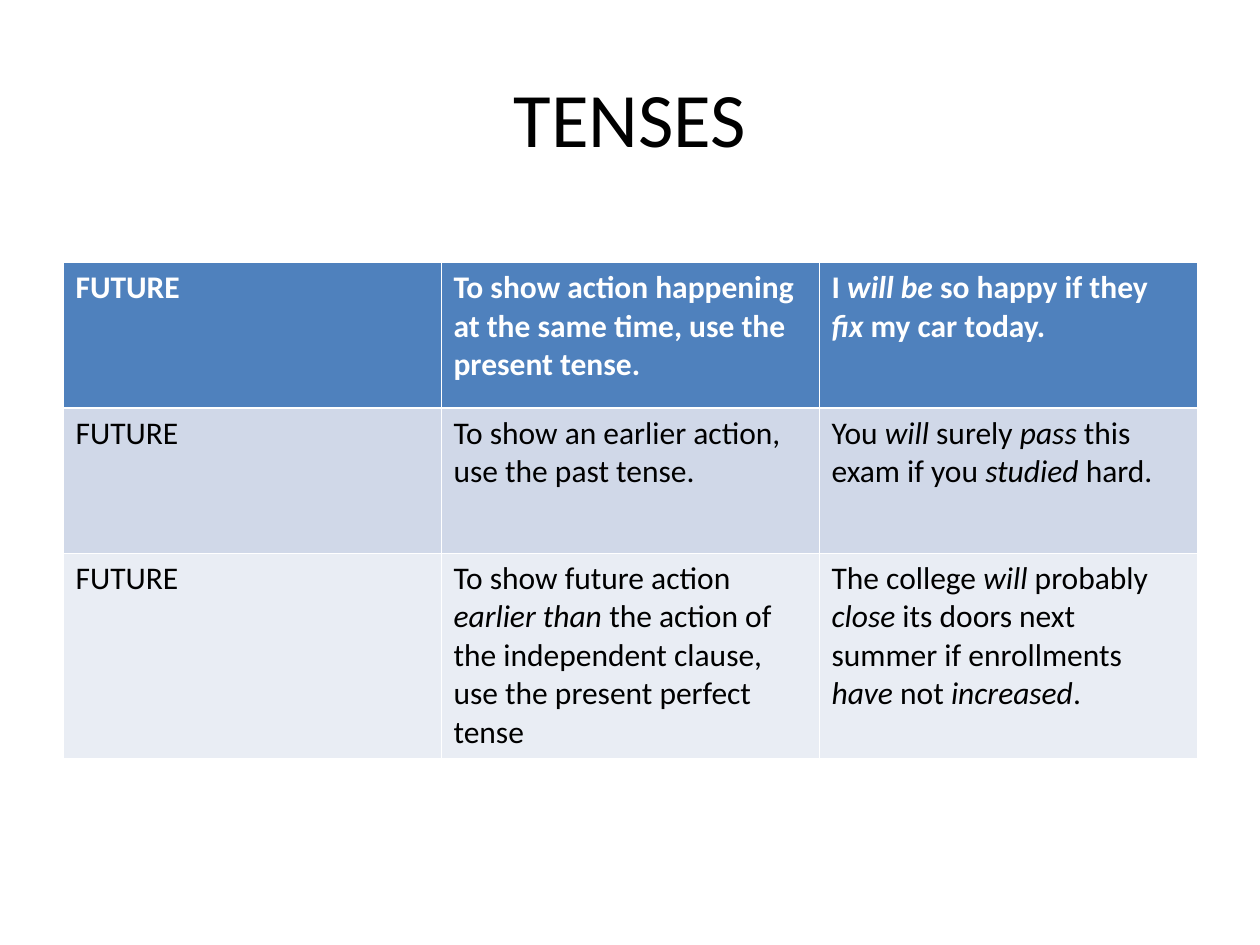
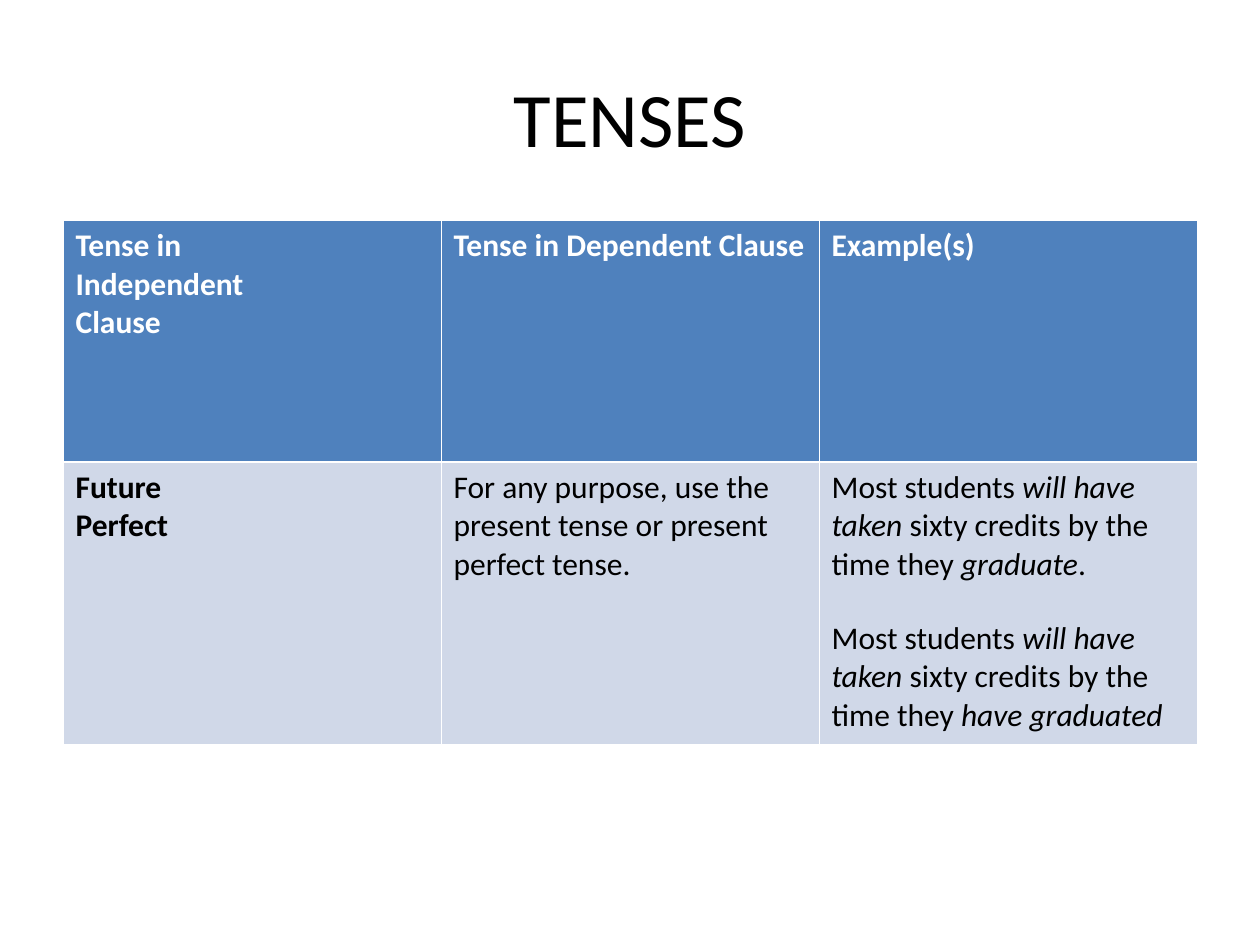
from lxml.etree import SubElement
from pptx import Presentation
from pptx.dml.color import RGBColor
from pptx.enum.text import MSO_ANCHOR, PP_ALIGN
from pptx.oxml.ns import qn
from pptx.util import Pt

COLORS = {
    "title": "000000",
    "header": "4F81BD",
    "header_text": "FFFFFF",
    "band_dark": "D0D8E8",
    "band_light": "E9EDF4",
    "body_text": "000000",
    "rule": "FFFFFF",
}
FONT = "Calibri"
TITLE_BOX = (36, 21.6, 648, 90)
THIN, THICK = 0.45, 1.47
PARAGRAPH_GAP = 20.3

# Asterisks enclose italic words; each cell is a list of paragraphs
FUTURE_ROWS = [
    [["FUTURE"],
     ["To show action happening at the same time, use the present tense."],
     ["I *will be* so happy if they *fix* my car today."]],
    [["FUTURE"],
     ["To show an earlier action, use the past tense."],
     ["You *will* surely *pass* this exam if you *studied* hard."]],
    [["FUTURE"],
     ["To show future action *earlier than* the action of the independent "
      "clause, use the present perfect tense"],
     ["The college *will* probably *close* its doors next summer if "
      "enrollments *have* not *increased*."]],
]
FUTURE_PERFECT_ROWS = [
    [["Tense in\nIndependent\nClause"],
     ["Tense in Dependent Clause"],
     ["Example(s)"]],
    [["Future\nPerfect"],
     ["For any purpose, use the present tense or present perfect tense."],
     ["Most students *will have taken *sixty credits by the time they *graduate*.",
      "Most students *will have taken* sixty credits by the time they "
      "*have graduated*"]],
]


def rgb(name):
    return RGBColor.from_string(COLORS[name])


def style_run(r, size, color, bold=False, italic=False):
    r.font.name = FONT
    r.font.size = Pt(size)
    r.font.color.rgb = rgb(color)
    r.font.bold = bold
    r.font.italic = italic


def add_title(slide, text, box):
    sp = slide.shapes.title
    sp.left, sp.top, sp.width, sp.height = map(Pt, box)
    tf = sp.text_frame
    tf.text = text
    tf.vertical_anchor = MSO_ANCHOR.MIDDLE
    p = tf.paragraphs[0]
    p.alignment = PP_ALIGN.CENTER
    style_run(p.runs[0], 44, "title")


def set_borders(cell, widths):
    tcPr = cell._tc.get_or_add_tcPr()
    for side, width in zip("LRTB", widths):
        ln = SubElement(tcPr, qn(f"a:ln{side}"), w=str(Pt(width)))
        fill = SubElement(ln, qn("a:solidFill"))
        SubElement(fill, qn("a:srgbClr"), val=COLORS["rule"])


def write_cell(cell, paragraphs, color, bold):
    tf = cell.text_frame
    for i, text in enumerate(paragraphs):
        p = tf.add_paragraph() if i else tf.paragraphs[0]
        if i:
            p.space_before = Pt(PARAGRAPH_GAP)
        for j, part in enumerate(text.split("*")):
            for k, line in enumerate(part.split("\n")):
                if k:
                    p.add_line_break()
                if line:
                    r = p.add_run()
                    r.text = line
                    style_run(r, 18, color, bold, italic=j % 2 == 1)


def add_tense_table(slide, rows, box, row_heights, bold_first_column):
    left, top, width = box
    n_cols = len(rows[0])
    table = slide.shapes.add_table(len(rows), n_cols, Pt(left), Pt(top), Pt(width),
                                   Pt(sum(row_heights))).table
    for col in table.columns:
        col.width = Pt(width / n_cols)
    for i, (row, height) in enumerate(zip(rows, row_heights)):
        table.rows[i].height = Pt(height)
        # Header row, then alternating bands
        header = i == 0
        band = "header" if header else ("band_light", "band_dark")[i % 2]
        for j, paragraphs in enumerate(row):
            cell = table.cell(i, j)
            set_borders(cell, (THIN, THIN, THICK if i == 1 else THIN,
                               THICK if header else THIN))
            cell.fill.solid()
            cell.fill.fore_color.rgb = rgb(band)
            write_cell(cell, paragraphs, "header_text" if header else "body_text",
                       header or (bold_first_column and j == 0))


def add_tense_slide(prs, rows, top, row_heights, bold_first_column=False):
    slide = prs.slides.add_slide(prs.slide_layouts[5])
    add_title(slide, "TENSES", TITLE_BOX)
    add_tense_table(slide, rows, (36, top, 648), row_heights, bold_first_column)


def main():
    prs = Presentation()
    prs.slide_width, prs.slide_height = Pt(720), Pt(540)
    add_tense_slide(prs, FUTURE_ROWS, 150, (83, 83, 117.2))
    add_tense_slide(prs, FUTURE_PERFECT_ROWS, 126, (138, 161.3), bold_first_column=True)
    prs.save("out.pptx")


if __name__ == "__main__":
    main()
